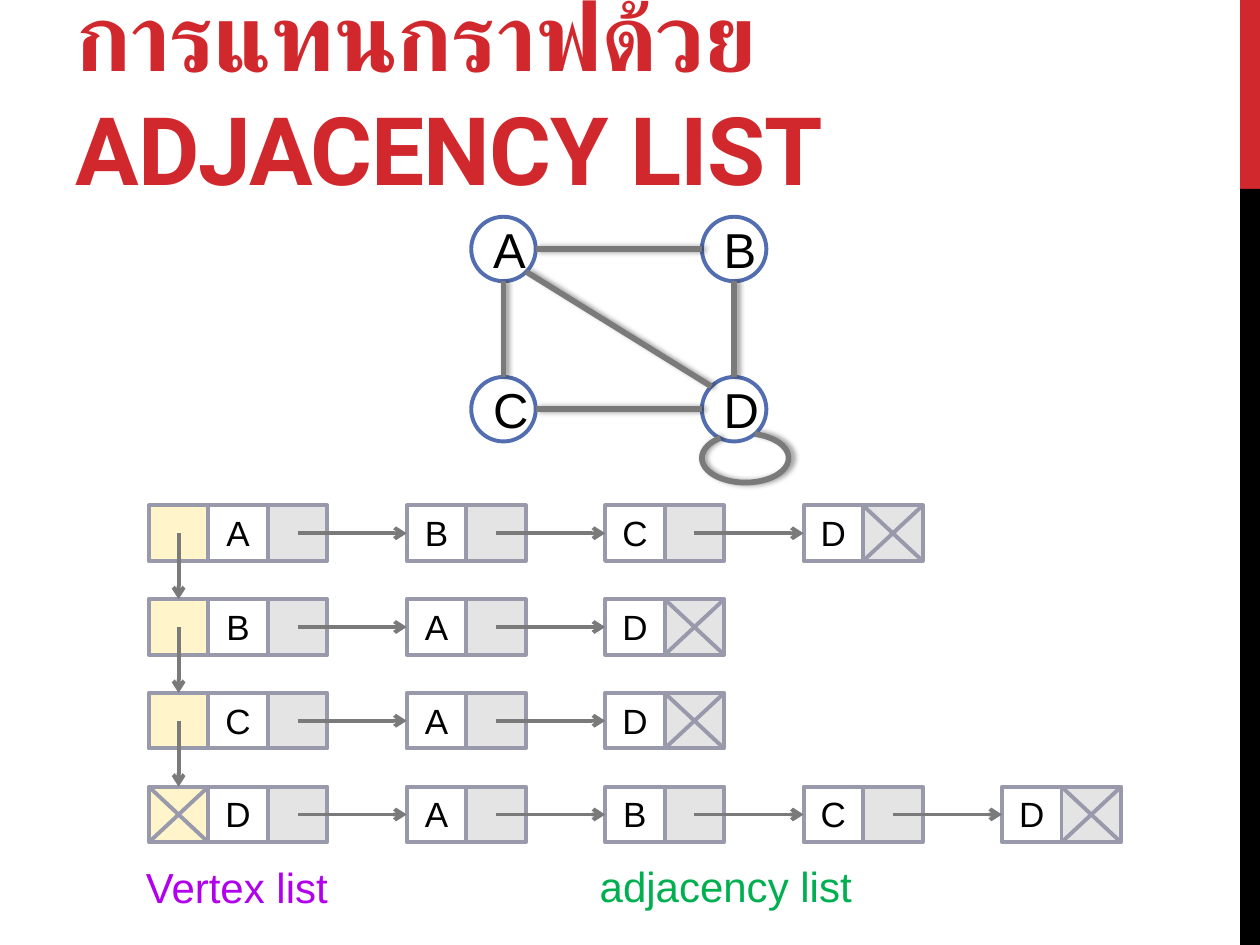
"""Build a slide that represents a graph with adjacency lists."""
from dataclasses import dataclass
from math import hypot

from lxml import etree
from pptx import Presentation
from pptx.dml.color import RGBColor
from pptx.enum.shapes import MSO_CONNECTOR, MSO_SHAPE
from pptx.enum.text import MSO_ANCHOR, MSO_AUTO_SIZE, PP_ALIGN
from pptx.oxml.ns import qn
from pptx.util import Cm, Pt

RECTANGLE, ELLIPSE, ARC = MSO_SHAPE.RECTANGLE, MSO_SHAPE.OVAL, MSO_SHAPE.ARC
STRAIGHT = MSO_CONNECTOR.STRAIGHT
TOP, MIDDLE, BOTTOM = MSO_ANCHOR.TOP, MSO_ANCHOR.MIDDLE, MSO_ANCHOR.BOTTOM
LEFT, CENTER = PP_ALIGN.LEFT, PP_ALIGN.CENTER
NO_AUTOFIT = MSO_AUTO_SIZE.NONE
TITLE_ONLY = 5

COLORS = {
    "red": "D1282E", "black": "000000", "white": "FFFFFF", "vertex": "526DB0",
    "edge": "7A7A7A", "border": "989AAC", "pointer": "E4E4E4",
    "next": "FFF4CA", "purple": "B000EE", "green": "00B050",
}

CELL_W, CELL_H = 1.2, 1.12
LIST_LEFT, LIST_TOP, ROW_PITCH = 3.0, 10.19, 1.89
NEIGHBOR_LEFT, NEIGHBOR_PITCH = 8.2, 4.0
VERTEX_SIZE = 1.3


@dataclass(frozen=True)
class Box:
    """A rectangle in centimetres."""
    left: float
    top: float
    width: float
    height: float

    @property
    def center(self) -> tuple[float, float]:
        return self.left + self.width / 2, self.top + self.height / 2

    def lengths(self) -> list[Cm]:
        return [Cm(v) for v in (self.left, self.top, self.width, self.height)]


@dataclass(frozen=True)
class Caption:
    """A coloured label below the lists."""
    wording: str
    box: Box
    color: str


VERTICES = {
    "A": Box(9.5, 4.37, VERTEX_SIZE, VERTEX_SIZE),
    "B": Box(14.15, 4.37, VERTEX_SIZE, VERTEX_SIZE),
    "C": Box(9.5, 7.6, VERTEX_SIZE, VERTEX_SIZE),
    "D": Box(14.15, 7.6, VERTEX_SIZE, VERTEX_SIZE),
}
EDGES = ("AB", "AC", "CD", "BD", "AD")
SELF_LOOP = Box(14.15, 8.74, 1.75, 0.99)
ADJACENCY = {"A": "BCD", "B": "AD", "C": "AD", "D": "ABCD"}
CAPTIONS = (
    Caption("Vertex list", Box(2.69, 17.25, 4.22, 1.27), "purple"),
    Caption("adjacency list", Box(11.84, 17.22, 5.64, 1.27), "green"),
)


def rgb(color: str) -> RGBColor:
    return RGBColor.from_string(COLORS[color])


def write(frame, wording: str, size: float, color: str, align=LEFT, font: str = "Arial"):
    frame.text = wording
    paragraph = frame.paragraphs[0]
    paragraph.alignment = align
    run = paragraph.runs[0]
    run.font.name, run.font.size = font, Pt(size)
    run.font.color.rgb = rgb(color)
    return run


def add_box(shapes, kind, box: Box, fill: str = "", line: str = "", weight: float = 2.25):
    shape = shapes.add_shape(kind, *box.lengths())
    shape.shadow.inherit = False
    if fill:
        shape.fill.solid()
        shape.fill.fore_color.rgb = rgb(fill)
    else:
        shape.fill.background()
    if line:
        shape.line.color.rgb = rgb(line)
        shape.line.width = Pt(weight)
    else:
        shape.line.fill.background()
    return shape


def add_line(shapes, start, end, color: str, weight: float = 2.25, arrow: bool = False):
    line = shapes.add_connector(STRAIGHT, *(Cm(v) for v in (*start, *end)))
    line.line.color.rgb = rgb(color)
    line.line.width = Pt(weight)
    if arrow:
        etree.SubElement(line.line._get_or_add_ln(), qn("a:tailEnd"), type="arrow")
    etree.SubElement(line._element.spPr, qn("a:effectLst"))
    return line


def add_shadow(shape) -> None:
    effects = shape._element.spPr.find(qn("a:effectLst"))
    shadow = etree.SubElement(
        effects, qn("a:outerShdw"), blurRad=str(Pt(3.1)), dist=str(Pt(1.8)), dir="0"
    )
    tint = etree.SubElement(shadow, qn("a:srgbClr"), val=COLORS["black"])
    etree.SubElement(tint, qn("a:alpha"), val="40000")


def add_edge(shapes, first: Box, second: Box) -> None:
    (x1, y1), (x2, y2) = first.center, second.center
    across, down = (x2 > x1) - (x2 < x1), (y2 > y1) - (y2 < y1)
    reach = VERTEX_SIZE / 2 / hypot(across, down)
    dx, dy = across * reach, down * reach
    add_shadow(add_line(shapes, (x1 + dx, y1 + dy), (x2 - dx, y2 - dy), "edge", 3.25))


def add_graph(shapes) -> None:
    for letter, box in VERTICES.items():
        vertex = add_box(shapes, ELLIPSE, box, "white", "vertex")
        vertex.text_frame.vertical_anchor = MIDDLE
        write(vertex.text_frame, letter, 28, "black", CENTER)
    for first, second in EDGES:
        add_edge(shapes, VERTICES[first], VERTICES[second])
    loop = add_box(shapes, ARC, SELF_LOOP, line="edge", weight=3.25)
    loop.adjustments[0], loop.adjustments[1] = 174.86, 131.41
    add_shadow(loop)


def add_node(shapes, letter: str, left: float, top: float) -> Box:
    name = add_box(shapes, RECTANGLE, Box(left, top, CELL_W, CELL_H), "white", "border")
    name.text_frame.vertical_anchor = TOP
    write(name.text_frame, letter, 20, "black", CENTER)
    pointer = Box(left + CELL_W, top, CELL_W, CELL_H)
    add_box(shapes, RECTANGLE, pointer, "pointer", "border")
    return pointer


def add_null(shapes, box: Box) -> None:
    right, bottom = box.left + box.width, box.top + box.height
    add_line(shapes, (box.left, box.top), (right, bottom), "border")
    add_line(shapes, (box.left, bottom), (right, box.top), "border")


def add_lists(shapes) -> None:
    links = []
    last_row = len(ADJACENCY) - 1
    for row, (letter, neighbors) in enumerate(ADJACENCY.items()):
        top = LIST_TOP + row * ROW_PITCH
        pointer = add_node(shapes, letter, LIST_LEFT + CELL_W, top)
        down = Box(LIST_LEFT, top, CELL_W, CELL_H)
        add_box(shapes, RECTANGLE, down, "next", "border")
        if row == last_row:
            add_null(shapes, down)
        else:
            links.append((down.center, (down.center[0], top + ROW_PITCH)))
        for column, neighbor in enumerate(neighbors):
            left = NEIGHBOR_LEFT + column * NEIGHBOR_PITCH
            links.append((pointer.center, (left, pointer.center[1])))
            pointer = add_node(shapes, neighbor, left, top)
        add_null(shapes, pointer)
    for start, end in links:
        add_line(shapes, start, end, "edge", arrow=True)


def add_title(title) -> None:
    title.left, title.top, title.width, title.height = Box(1.27, 0.43, 22.23, 3.81).lengths()
    frame = title.text_frame
    frame.word_wrap, frame.auto_size = True, NO_AUTOFIT
    frame.vertical_anchor = BOTTOM
    run = write(frame, "การแทนกราฟด้วย ADJACENCY LIST", 54, "red", font="Roboto")
    run.font.bold = True
    run.font._element.set("spc", "-60")


def main() -> None:
    deck = Presentation()
    deck.slide_width, deck.slide_height = Cm(25.4), Cm(19.05)
    slide = deck.slides.add_slide(deck.slide_layouts[TITLE_ONLY])
    shapes = slide.shapes
    add_box(shapes, RECTANGLE, Box(25, 0, 0.4, 3.81), "red")
    add_box(shapes, RECTANGLE, Box(25, 3.81, 0.4, 15.24), "black")
    add_title(shapes.title)
    add_graph(shapes)
    add_lists(shapes)
    for caption in CAPTIONS:
        frame = shapes.add_textbox(*caption.box.lengths()).text_frame
        frame.word_wrap = False
        write(frame, caption.wording, 24, caption.color)
    deck.save("out.pptx")


if __name__ == "__main__":
    main()
